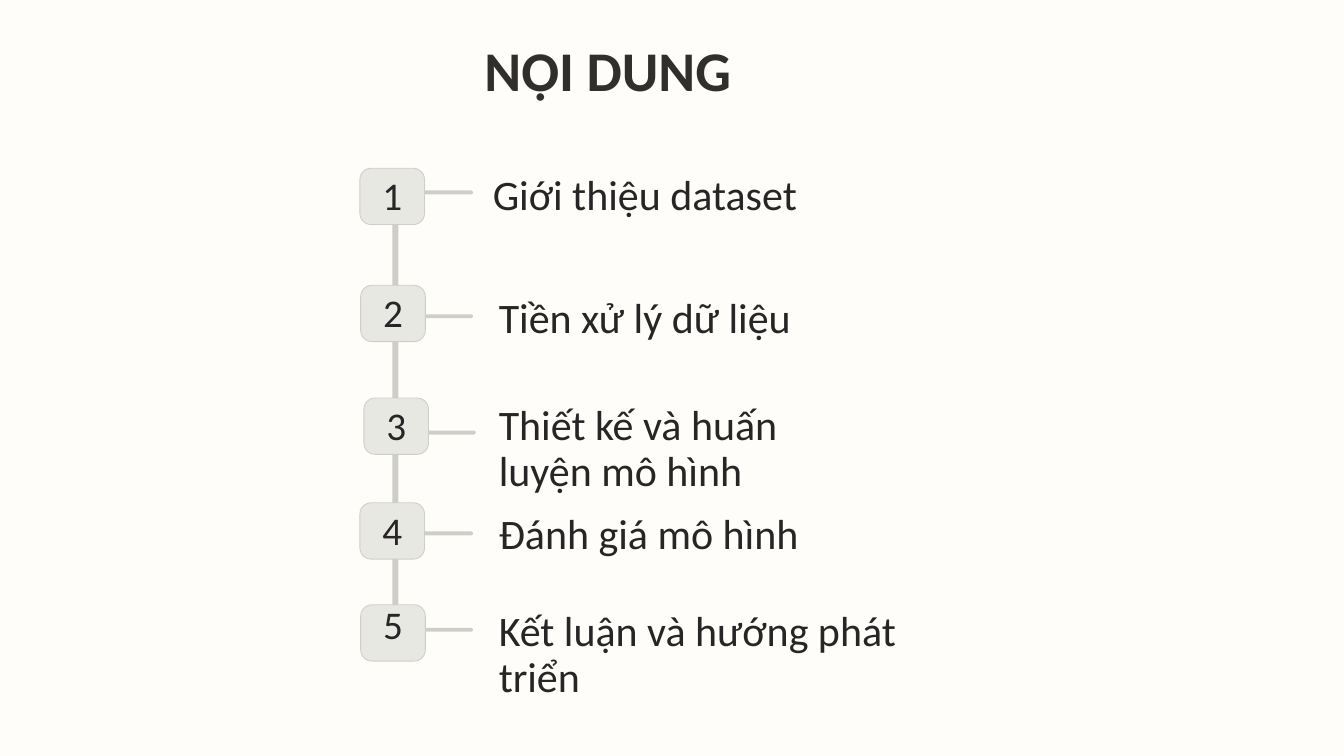
from lxml import etree
from pptx import Presentation
from pptx.dml.color import RGBColor
from pptx.enum.shapes import MSO_SHAPE
from pptx.enum.text import MSO_ANCHOR, PP_ALIGN
from pptx.oxml.ns import qn
from pptx.util import Cm, Pt

RECTANGLE, ROUNDED = MSO_SHAPE.RECTANGLE, MSO_SHAPE.ROUNDED_RECTANGLE
TOP, LEFT, CENTER = MSO_ANCHOR.TOP, PP_ALIGN.LEFT, PP_ALIGN.CENTER

FONT = "Calibri"
CREAM, INK, TITLE_INK = "FFFCF3", "272525", "312F2B"
RAIL_GREY, BADGE_GREY = "CECEC9", "E8E8E3"
SLIDE_WIDTH, SLIDE_HEIGHT = 33.87, 19.05
BADGE_WIDTH, BADGE_HEIGHT = 1.63, 1.42
TICK_WIDTH, TICK_HEIGHT = 1.63, 0.1
LABEL_HEIGHT = 1.17

# Text, badge (left, top), tick (left, top), label (left, top, width), number inset
TOPICS = [
    ("Giới thiệu dataset", (9.07, 4.24), (10.29, 4.8), (12.17, 4.22, 9.27), 0.32),
    ("Tiền xử lý dữ liệu", (9.09, 7.19), (10.29, 7.92), (12.32, 7.32, 9.27), 0.32),
    ("Thiết kế và huấn luyện mô hình", (9.17, 10.03), (10.36, 10.85), (12.32, 10.03, 9.27), 0.32),
    ("Đánh giá mô hình", (9.07, 12.67), (10.29, 13.39), (12.32, 12.78, 9.27), 0.32),
    ("Kết luận và hướng phát triển", (9.09, 15.24), (10.29, 15.82), (12.32, 15.21, 11.68), 0.13),
]


def color(value):
    """Turn a hex string into a colour."""
    return RGBColor.from_string(value)


def write(box, text, size, spacing, ink=INK, bold=False, align=LEFT, wrap=False, top=0.13):
    """Put one formatted line of text into a box."""
    frame = box.text_frame
    frame.word_wrap = wrap
    frame.vertical_anchor = TOP
    frame.margin_top = Cm(top)
    para = frame.paragraphs[0]
    para.alignment = align
    para.line_spacing = Pt(spacing)
    span = para.add_run()
    span.text = text
    span.font.name = FONT
    span.font.size = Pt(size)
    span.font.bold = bold
    span.font.color.rgb = color(ink)


def add_block(shapes, kind, left, top, width, height, fill, line=None, rounding=None):
    """Draw a filled shape, outlined only when a line colour is given."""
    block = shapes.add_shape(kind, Cm(left), Cm(top), Cm(width), Cm(height))
    block.shadow.inherit = False
    block.fill.solid()
    block.fill.fore_color.rgb = color(fill)
    if line:
        block.line.color.rgb = color(line)
        block.line.width = Pt(0.6)
    else:
        block.line.fill.background()
    if rounding is not None:
        block.adjustments[0] = rounding
    return block


def add_label(shapes, text, left, top, width, height, **style):
    """Place a text box holding one line."""
    box = shapes.add_textbox(Cm(left), Cm(top), Cm(width), Cm(height))
    write(box, text, **style)


def add_backdrop(shapes):
    """Tint the whole slide with translucent cream."""
    backdrop = add_block(shapes, RECTANGLE, 0, 0, SLIDE_WIDTH, SLIDE_HEIGHT, CREAM)
    tint = backdrop.fill._xPr.find(qn("a:solidFill"))[0]
    etree.SubElement(tint, qn("a:alpha"), val="45000")


def add_topic(shapes, number, text, badge_at, tick_at, label_at, inset):
    """Draw one agenda entry: tick, numbered badge and label."""
    add_block(shapes, ROUNDED, *tick_at, TICK_WIDTH, TICK_HEIGHT, RAIL_GREY, rounding=0.5)
    badge = add_block(shapes, ROUNDED, *badge_at, BADGE_WIDTH, BADGE_HEIGHT, BADGE_GREY,
                      line=RAIL_GREY, rounding=0.2)
    write(badge, str(number), size=28, spacing=24.6, align=CENTER, wrap=True, top=inset)
    add_label(shapes, text, *label_at, LABEL_HEIGHT, size=30, spacing=32.9)


def main():
    """Build the agenda slide and save it."""
    deck = Presentation()
    deck.slide_width, deck.slide_height = Cm(SLIDE_WIDTH), Cm(SLIDE_HEIGHT)
    page = deck.slides.add_slide(deck.slide_layouts[6])
    add_backdrop(page.shapes)
    add_label(page.shapes, "NỘI DUNG", 11.96, 0.46, 16, 2.01,
              size=40, spacing=56.7, ink=TITLE_INK, bold=True)
    timeline = page.shapes.add_group_shape().shapes
    add_block(timeline, ROUNDED, 9.89, 4.55, 0.15, 11.56, RAIL_GREY, rounding=0.5)
    for number, topic in enumerate(TOPICS, start=1):
        add_topic(timeline, number, *topic)
    deck.save("out.pptx")


if __name__ == "__main__":
    main()
